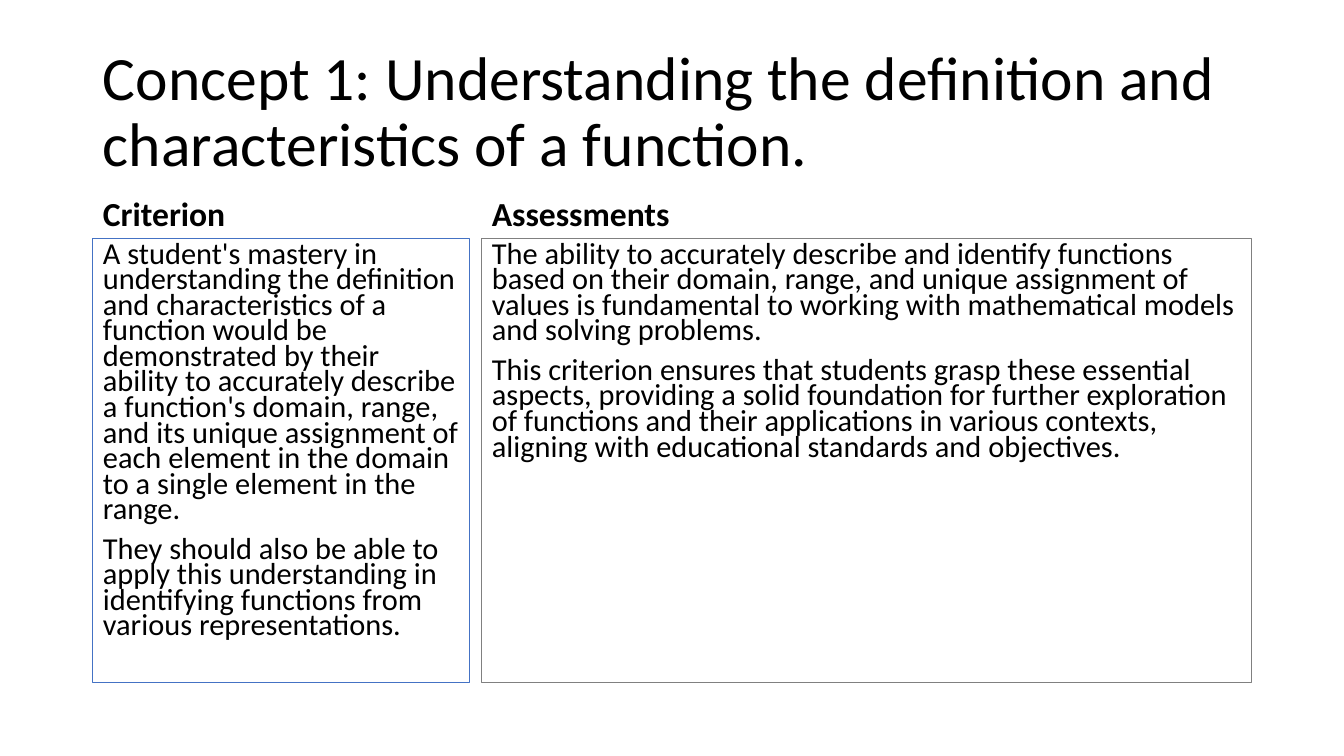
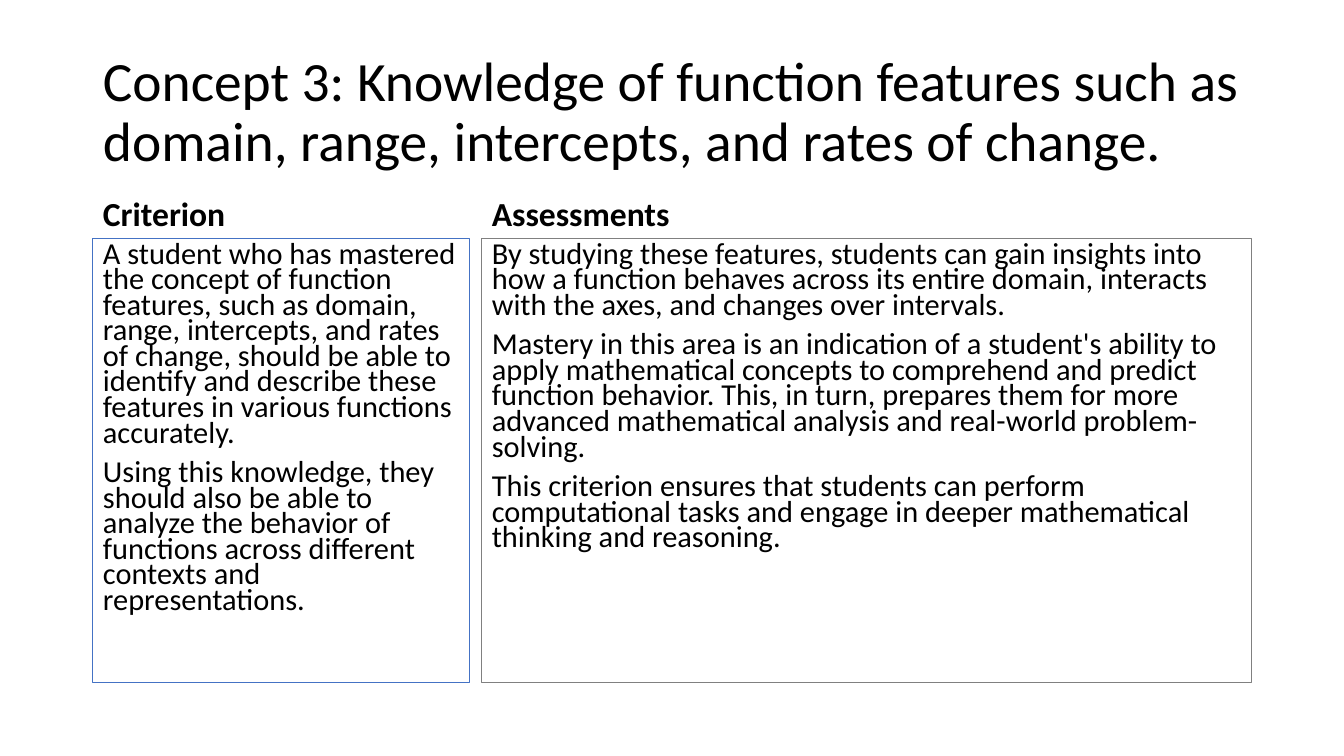
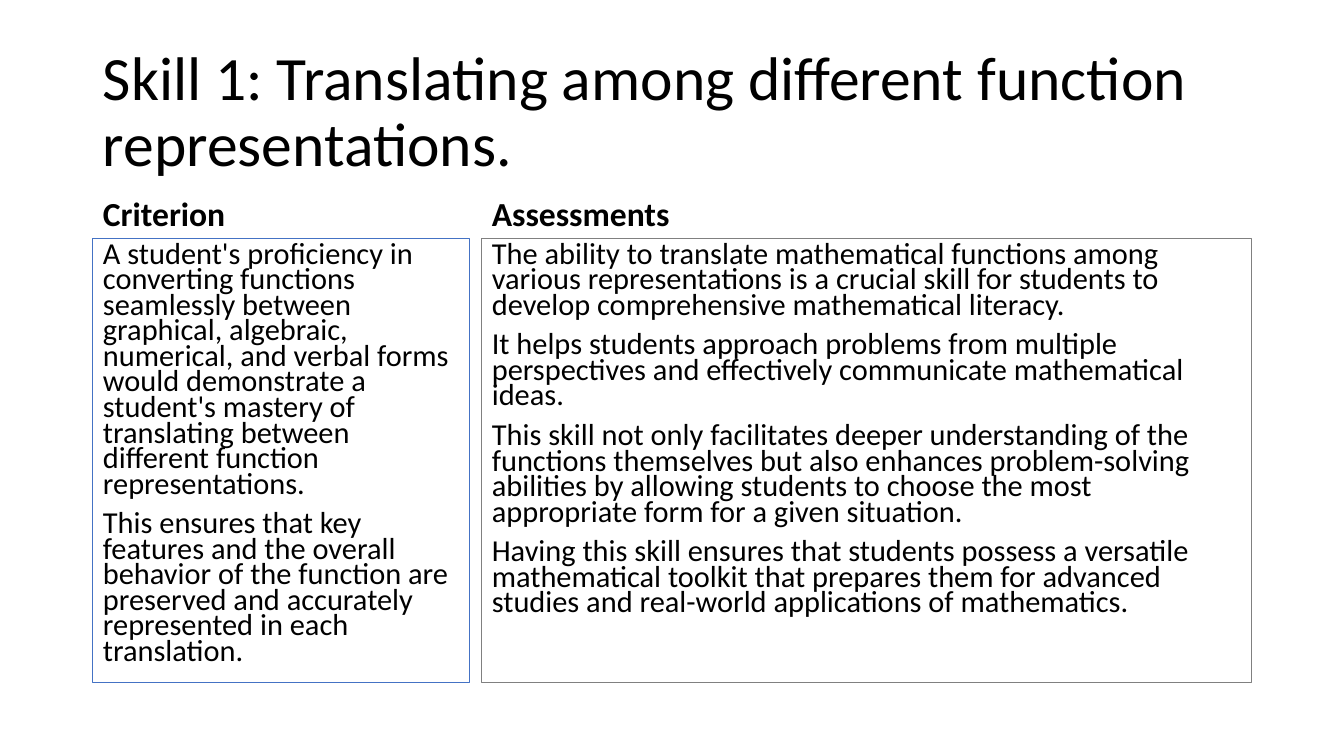
from lxml.etree import SubElement
from pptx import Presentation
from pptx.dml.color import RGBColor
from pptx.enum.text import MSO_ANCHOR, MSO_AUTO_SIZE, PP_ALIGN
from pptx.oxml.ns import qn
from pptx.util import Cm, Pt

SLIDES = [
    {
        "title": "Concept 1: Understanding the definition and characteristics of a function.",
        "title_size": 44,
        "criterion": [
            "A student's mastery in understanding the definition and characteristics of a function "
            "would be demonstrated by their ability to accurately describe a function's domain, "
            "range, and its unique assignment of each element in the domain to a single element in "
            "the range.",
            "They should also be able to apply this understanding in identifying functions from "
            "various representations.",
        ],
        "assessments": [
            "The ability to accurately describe and identify functions based on their domain, range, "
            "and unique assignment of values is fundamental to working with mathematical models and "
            "solving problems.",
            "This criterion ensures that students grasp these essential aspects, providing a solid "
            "foundation for further exploration of functions and their applications in various "
            "contexts, aligning with educational standards and objectives.",
        ],
    },
    {
        "title": "Concept 3: Knowledge of function features such as domain, range, intercepts, and "
                 "rates of change.",
        "title_size": 39.6,
        "criterion": [
            "A student who has mastered the concept of function features, such as domain, range, "
            "intercepts, and rates of change, should be able to identify and describe these features "
            "in various functions accurately.",
            "Using this knowledge, they should also be able to analyze the behavior of functions "
            "across different contexts and representations.",
        ],
        "assessments": [
            "By studying these features, students can gain insights into how a function behaves "
            "across its entire domain, interacts with the axes, and changes over intervals.",
            "Mastery in this area is an indication of a student's ability to apply mathematical "
            "concepts to comprehend and predict function behavior. This, in turn, prepares them for "
            "more advanced mathematical analysis and real-world problem-solving.",
            "This criterion ensures that students can perform computational tasks and engage in "
            "deeper mathematical thinking and reasoning.",
        ],
    },
    {
        "title": "Skill 1: Translating among different function representations.",
        "title_size": 44,
        "criterion": [
            "A student's proficiency in converting functions seamlessly between graphical, "
            "algebraic, numerical, and verbal forms would demonstrate a student's mastery of "
            "translating between different function representations.",
            "This ensures that key features and the overall behavior of the function are preserved "
            "and accurately represented in each translation.",
        ],
        "assessments": [
            "The ability to translate mathematical functions among various representations is a "
            "crucial skill for students to develop comprehensive mathematical literacy.",
            "It helps students approach problems from multiple perspectives and effectively "
            "communicate mathematical ideas.",
            "This skill not only facilitates deeper understanding of the functions themselves but "
            "also enhances problem-solving abilities by allowing students to choose the most "
            "appropriate form for a given situation.",
            "Having this skill ensures that students possess a versatile mathematical toolkit that "
            "prepares them for advanced studies and real-world applications of mathematics.",
        ],
    },
]

FONT = "Calibri"
TEXT_COLOR = "000000"
COMPARISON_LAYOUT = 4
HEADING_SIZE, BODY_SIZE = 24, 21.7

LEFT, CONTENT_WIDTH = 2.34, 29.21
TITLE_TOP, TITLE_HEIGHT = 1.02, 3.68
HEADING_TOP, HEADING_HEIGHT = 4.52, 1.5
BODY_TOP, BODY_HEIGHT = HEADING_TOP + HEADING_HEIGHT, 11.18
CRITERION_WIDTH, COLUMN_GAP = 9.5, 0.3
ASSESSMENTS_OFFSET = CRITERION_WIDTH + COLUMN_GAP

# Heading, content key, heading index, body index, left, width, border
COLUMNS = [
    ("Criterion", "criterion", 1, 2, LEFT, CRITERION_WIDTH, "4472C4"),
    ("Assessments", "assessments", 3, 4, LEFT + ASSESSMENTS_OFFSET,
     CONTENT_WIDTH - ASSESSMENTS_OFFSET, "808080"),
]


def rgb(color):
    return RGBColor.from_string(color)


def place(shape, left, top, width, height):
    shape.left, shape.top = Cm(left), Cm(top)
    shape.width, shape.height = Cm(width), Cm(height)


def arrange_layout(layout):
    """Place the title and both columns once for all slides."""
    placeholders = {shape.placeholder_format.idx: shape for shape in layout.placeholders}
    place(placeholders[0], LEFT, TITLE_TOP, CONTENT_WIDTH, TITLE_HEIGHT)
    for _, _, heading, body, left, width, _ in COLUMNS:
        place(placeholders[heading], left, HEADING_TOP, width, HEADING_HEIGHT)
        place(placeholders[body], left, BODY_TOP, width, BODY_HEIGHT)


def write(shape, paragraphs, size, anchor, line_spacing=0.9, bold=False):
    frame = shape.text_frame
    frame.text = "\n".join(paragraphs)
    frame.word_wrap = True
    frame.auto_size = MSO_AUTO_SIZE.NONE
    frame.vertical_anchor = anchor
    for index, paragraph in enumerate(frame.paragraphs):
        properties = paragraph._p.get_or_add_pPr()
        properties.set("marL", "0")
        properties.set("indent", "0")
        SubElement(properties, qn("a:buNone"))
        paragraph.alignment = PP_ALIGN.LEFT
        paragraph.line_spacing = line_spacing
        paragraph.space_before = Pt(10 if index else 0)
        for run in paragraph.runs:
            run.font.name = FONT
            run.font.size = Pt(size)
            run.font.bold = bold
            run.font.color.rgb = rgb(TEXT_COLOR)


def add_criterion_slide(presentation, layout, content):
    slide = presentation.slides.add_slide(layout)
    write(slide.shapes.title, [content["title"]], content["title_size"], MSO_ANCHOR.MIDDLE)
    for heading, key, heading_index, body_index, _, _, border in COLUMNS:
        write(slide.placeholders[heading_index], [heading], HEADING_SIZE, MSO_ANCHOR.BOTTOM,
              bold=True)
        body = slide.placeholders[body_index]
        write(body, content[key], BODY_SIZE, MSO_ANCHOR.TOP, line_spacing=0.7)
        body.line.color.rgb = rgb(border)
        body.line.width = Pt(0.75)


def main():
    presentation = Presentation()
    presentation.slide_width, presentation.slide_height = Cm(33.87), Cm(19.05)
    layout = presentation.slide_layouts[COMPARISON_LAYOUT]
    arrange_layout(layout)
    for content in SLIDES:
        add_criterion_slide(presentation, layout, content)
    presentation.save("out.pptx")


if __name__ == "__main__":
    main()
